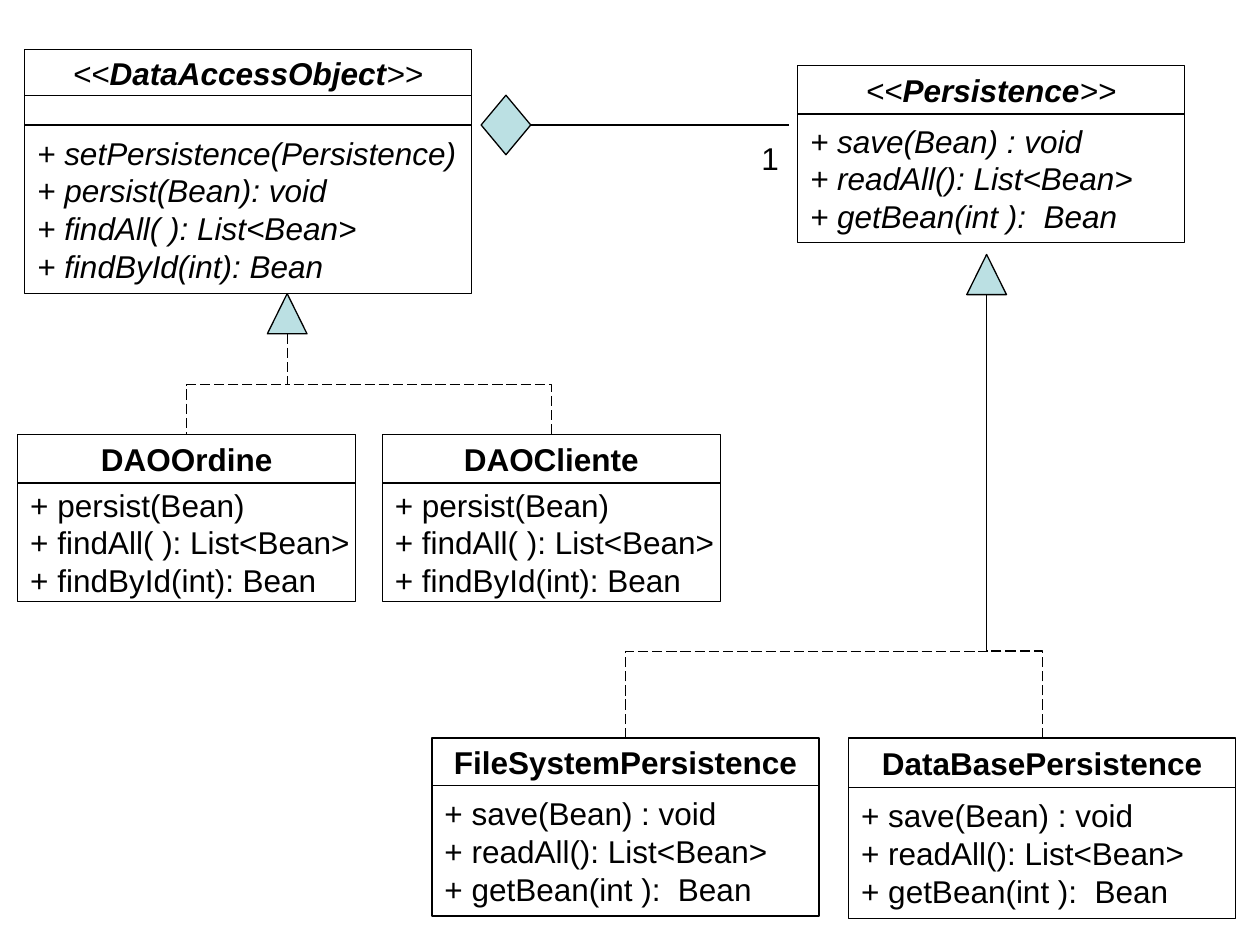
from lxml import etree
from pptx import Presentation
from pptx.dml.color import RGBColor
from pptx.enum.dml import MSO_LINE
from pptx.enum.shapes import MSO_CONNECTOR, MSO_SHAPE
from pptx.enum.text import MSO_ANCHOR, PP_ALIGN
from pptx.oxml.ns import qn
from pptx.util import Cm, Pt

RECTANGLE = MSO_SHAPE.RECTANGLE
DIAMOND = MSO_SHAPE.DIAMOND
TRIANGLE = MSO_SHAPE.FLOWCHART_EXTRACT
STRAIGHT, ELBOW = MSO_CONNECTOR.STRAIGHT, MSO_CONNECTOR.ELBOW
LONG_DASH = MSO_LINE.LONG_DASH
MIDDLE, TOP = MSO_ANCHOR.MIDDLE, MSO_ANCHOR.TOP
LEFT, CENTER = PP_ALIGN.LEFT, PP_ALIGN.CENTER

BLACK, WHITE, PALE_BLUE = "000000", "FFFFFF", "BBE0E3"
FONT, FONT_SIZE, LINE_WIDTH = "Arial", 18, 0.75
BLANK_LAYOUT = 6
MARKER_WIDTH, TRIANGLE_HEIGHT = 0.8, 0.81

DAO_METHODS = ["+ persist(Bean)", "+ findAll( ): List<Bean>", "+ findById(int): Bean"]
PERSISTENCE_METHODS = ["+ save(Bean) : void", "+ readAll(): List<Bean>",
                       "+ getBean(int ):  Bean"]


def color(hex_value):
    return RGBColor.from_string(hex_value)


def write_text(shape, lines, align=LEFT, anchor=MIDDLE, italic=False):
    """Write one paragraph for each line, a line being a list of (text, bold) runs."""
    frame = shape.text_frame
    frame.word_wrap = False
    frame.vertical_anchor = anchor
    for index, runs in enumerate(lines):
        paragraph = frame.add_paragraph() if index else frame.paragraphs[0]
        paragraph.alignment = align
        for text, bold in runs:
            run = paragraph.add_run()
            run.text = text
            run.font.name = FONT
            run.font.size = Pt(FONT_SIZE)
            run.font.bold = bold
            run.font.italic = italic
            run.font.color.rgb = color(BLACK)


def add_outlined(slide, kind, left, top, width, height, fill=WHITE):
    shape = slide.shapes.add_shape(kind, Cm(left), Cm(top), Cm(width), Cm(height))
    shape.shadow.inherit = False
    shape.fill.solid()
    shape.fill.fore_color.rgb = color(fill)
    shape.line.color.rgb = color(BLACK)
    shape.line.width = Pt(LINE_WIDTH)
    return shape


def add_line(slide, kind, start, end):
    connector = slide.shapes.add_connector(kind, *map(Cm, start + end))
    connector.line.color.rgb = color(BLACK)
    connector.line.width = Pt(LINE_WIDTH)
    etree.SubElement(connector._element.spPr, qn("a:effectLst"))
    return connector


def add_vertical_elbow(slide, start, end, bend):
    """Dashed elbow that leaves and arrives vertically, turning at height bend."""
    (x1, y1), (x2, y2) = start, end
    center_x, center_y = (x1 + x2) / 2, (y1 + y2) / 2
    half_width, half_height = abs(y2 - y1) / 2, abs(x2 - x1) / 2
    if (x2 > x1) == (y2 > y1):
        half_height = -half_height
    connector = add_line(slide, ELBOW,
                         (center_x - half_width, center_y - half_height),
                         (center_x + half_width, center_y + half_height))
    connector.line.dash_style = LONG_DASH
    properties = connector._element.spPr
    degrees = 90 if y2 > y1 else 270
    properties.find(qn("a:xfrm")).set("rot", str(degrees * 60000))
    geometry = properties.find(qn("a:prstGeom"))
    adjustments = geometry.find(qn("a:avLst"))
    if adjustments is None:
        adjustments = etree.SubElement(geometry, qn("a:avLst"))
    fraction = round((bend - y1) / (y2 - y1) * 100000)
    etree.SubElement(adjustments, qn("a:gd"), name="adj1", fmla=f"val {fraction}")


def add_class(slide, left, top, width, name, methods, methods_height,
              name_height=0.98, attributes_height=0, abstract=False):
    name_box = add_outlined(slide, RECTANGLE, left, top, width, name_height)
    runs = [(name, True)]
    if abstract:
        runs = [("<<", False), *runs, (">>", False)]
    write_text(name_box, [runs], align=CENTER, italic=abstract)

    below = top + name_height
    if attributes_height:
        add_outlined(slide, RECTANGLE, left, below, width, attributes_height)
    method_box = add_outlined(slide, RECTANGLE, left, below + attributes_height,
                              width, methods_height)
    write_text(method_box, [[(method, False)] for method in methods], italic=abstract)


def add_inheritance_triangle(slide, center, top):
    add_outlined(slide, TRIANGLE, center - MARKER_WIDTH / 2, top,
                 MARKER_WIDTH, TRIANGLE_HEIGHT, fill=PALE_BLUE)


def add_dao_family(slide, left, top):
    add_class(slide, left + 0.14, top, 9, "DataAccessObject",
              ["+ setPersistence(Persistence)", "+ persist(Bean): void", *DAO_METHODS[1:]],
              3.4, name_height=0.93, attributes_height=0.59, abstract=True)
    parent_x, triangle_top = left + 5.43, top + 4.92
    add_inheritance_triangle(slide, parent_x, triangle_top)
    child_width, child_top = 6.81, top + 7.76
    trunk_top = triangle_top + TRIANGLE_HEIGHT
    for index, name in enumerate(["DAOOrdine", "DAOCliente"]):
        child_left = left + index * 7.35
        add_class(slide, child_left, child_top, child_width, name, DAO_METHODS, 2.39)
        add_vertical_elbow(slide, (parent_x, trunk_top),
                           (child_left + child_width / 2, child_top),
                           (trunk_top + child_top) / 2)


def add_persistence_family(slide, left, top):
    width, child_top = 7.8, top + 13.56
    add_class(slide, left + 7.37, top, width, "Persistence", PERSISTENCE_METHODS,
              2.59, abstract=True)
    parent_x, triangle_top = left + 11.18, top + 3.81
    children = [("FileSystemPersistence", 0.95), ("DataBasePersistence", 1)]
    for index, (name, name_height) in enumerate(children):
        child_left = left + index * 8.4
        add_class(slide, child_left, child_top, width, name, PERSISTENCE_METHODS,
                  2.64, name_height=name_height)
        add_vertical_elbow(slide, (child_left + width / 2, child_top),
                           (parent_x, triangle_top + TRIANGLE_HEIGHT), child_top - 1.75)
    add_inheritance_triangle(slide, parent_x, triangle_top)


def add_aggregation(slide, left, top, width):
    height = 1.2
    middle = top + height / 2
    diamond_width = 1
    add_outlined(slide, DIAMOND, left, top, diamond_width, height, fill=PALE_BLUE)
    add_line(slide, STRAIGHT, (left + width, middle), (left + diamond_width, middle))
    label = slide.shapes.add_textbox(Cm(left + width - 0.8), Cm(middle + 0.15),
                                     Cm(0.86), Cm(1.02))
    write_text(label, [[("1", False)]], anchor=TOP)


def main():
    presentation = Presentation()
    presentation.slide_width, presentation.slide_height = Cm(25.4), Cm(19.05)
    slide = presentation.slides.add_slide(presentation.slide_layouts[BLANK_LAYOUT])
    add_dao_family(slide, 0.36, 1)
    add_persistence_family(slide, 8.71, 1.32)
    add_aggregation(slide, 9.7, 1.92, 6.2)
    presentation.save("out.pptx")


if __name__ == "__main__":
    main()
